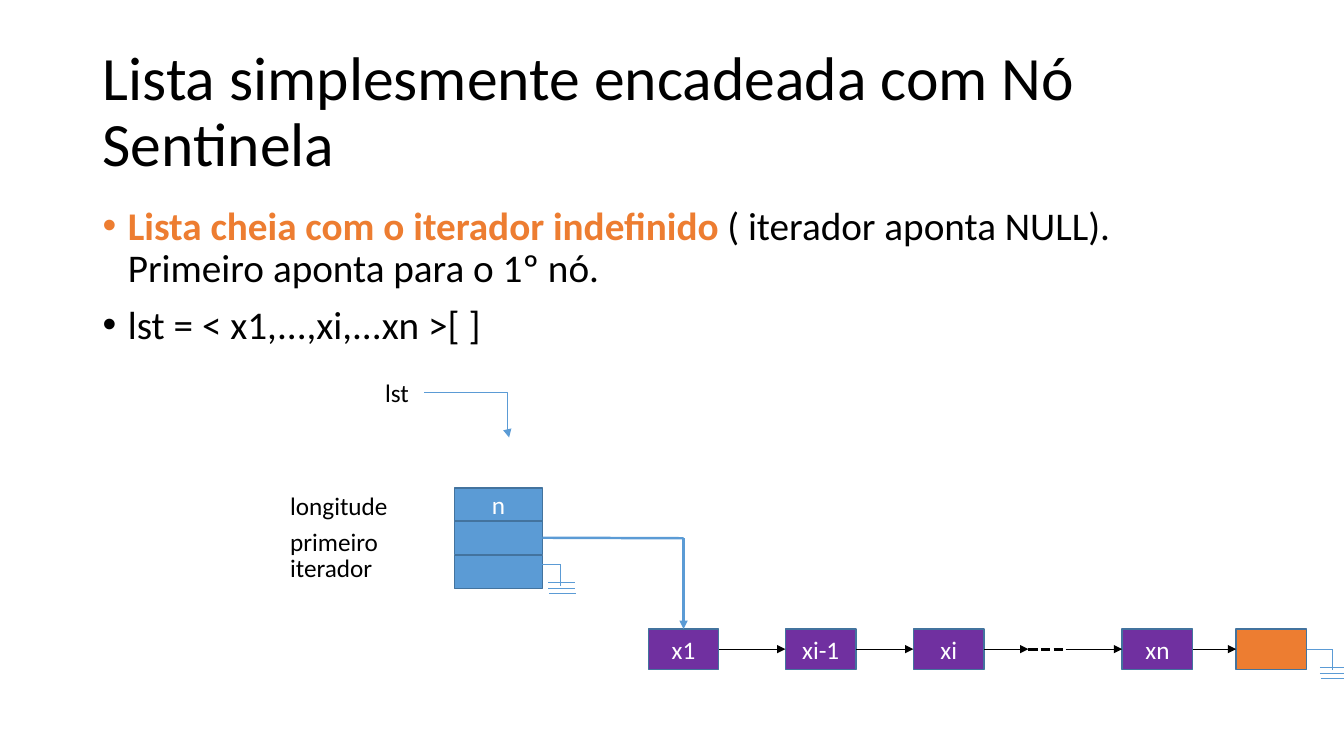
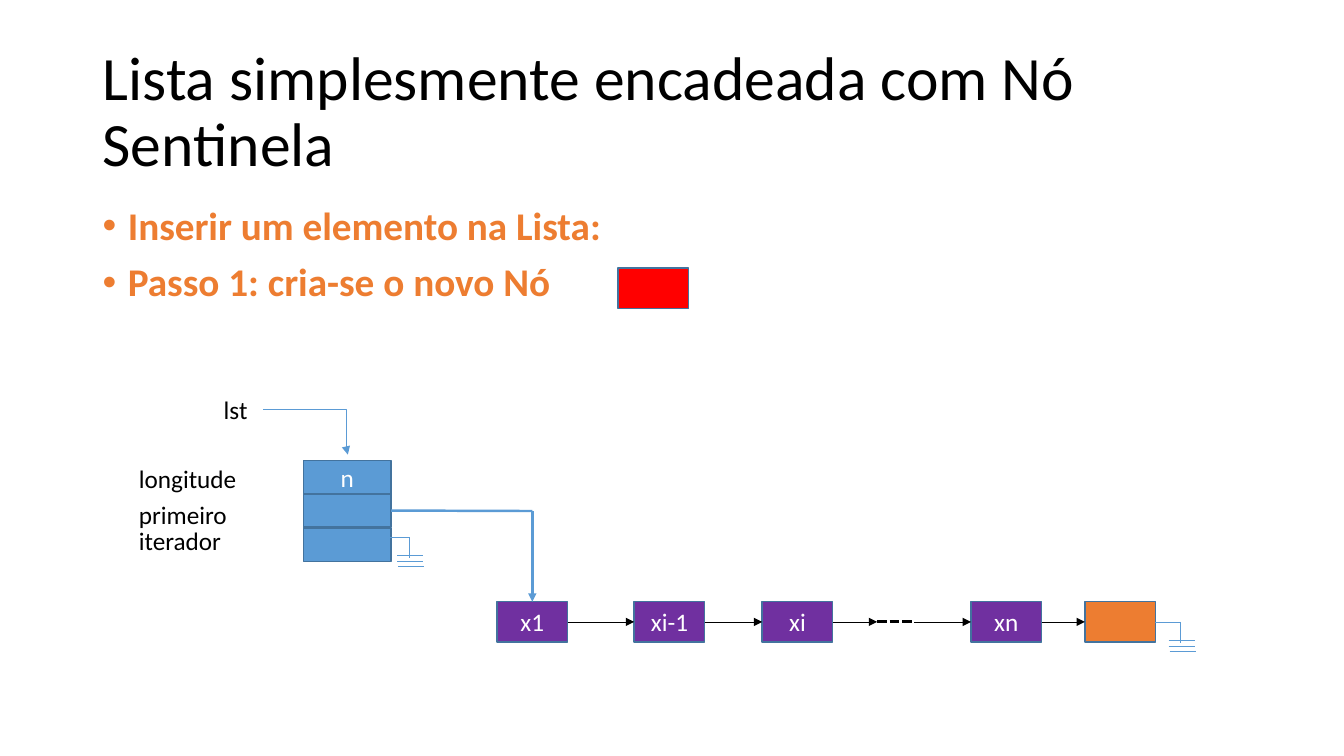
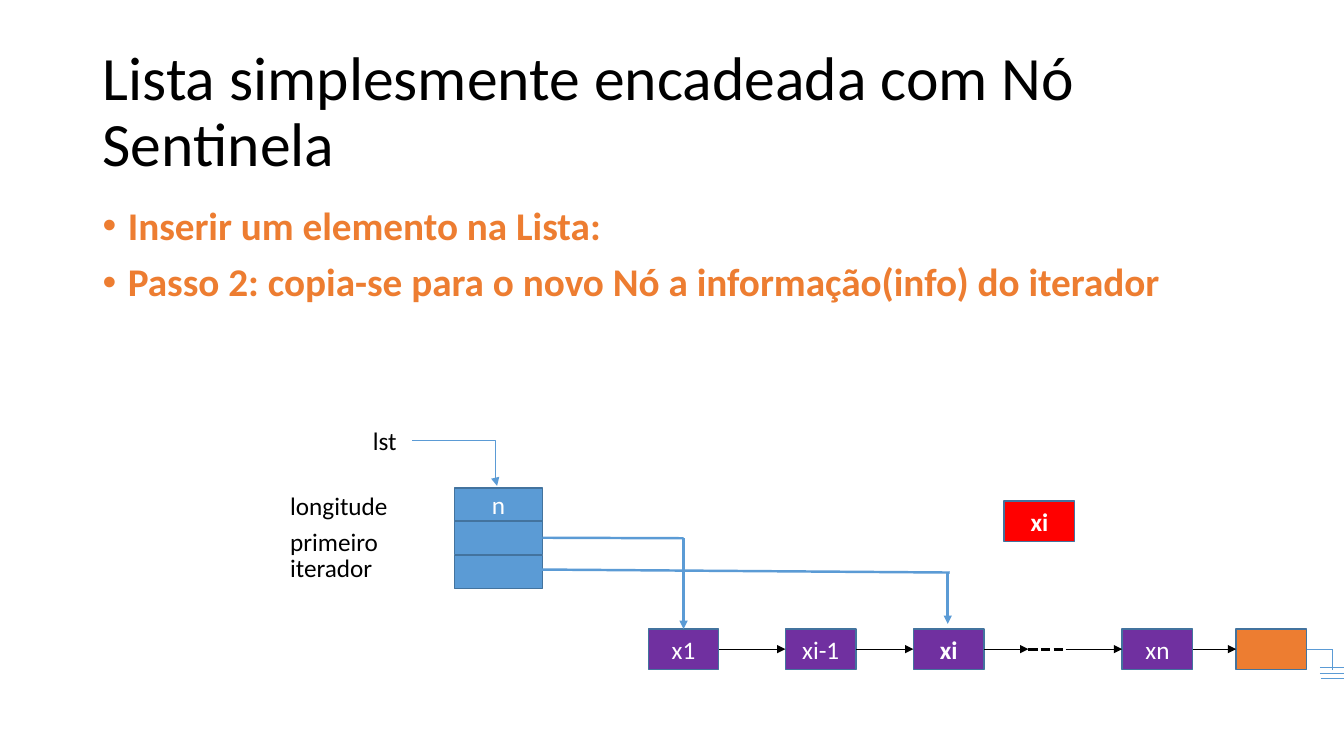
"""Build three slides about inserting into a linked list with a sentinel node."""
from lxml import etree
from pptx import Presentation, util as u
from pptx.dml.color import RGBColor
from pptx.enum import dml, shapes, text
from pptx.oxml.ns import qn

BLACK, WHITE = "000000", "FFFFFF"
BLUE, EDGE, PURPLE, ORANGE, RED = "5B9BD5", "43739E", "7030A0", "ED7D31", "FF0000"
TOP, LEFT, BOTTOM, RIGHT = range(4)
TITLE = "Lista simplesmente encadeada com Nó Sentinela"
INSERT = [("Inserir um elemento na Lista:", ORANGE, True)]

CELL_WIDTH, CELL_HEIGHT = 0.87, 0.33
NODE_WIDTH, NODE_HEIGHT = 0.7, 0.4
NODE_TOP = 1.4
CHAIN_Y = NODE_TOP + NODE_HEIGHT / 2
NODES = {"x1": 1.92, "xi-1": 3.28, "xi": 4.55, "xn": 6.62}
SENTINEL_X = 7.75
FIELDS = {"longitude": -0.02, "primeiro": 0.33, "iterador": 0.59}


def color(value):
    return RGBColor.from_string(value)


def set_all(target, values):
    for name, value in values.items():
        setattr(target, name, value)


class Deck:
    def __init__(self):
        self.presentation = Presentation()
        set_all(self.presentation, {"slide_width": u.Inches(13.33), "slide_height": u.Inches(7.5)})
        self.slide = None

    def run(self, paragraph, words, size, tint, bold=False):
        run = paragraph.add_run()
        run.text = words
        set_all(run.font, {"name": "Calibri", "size": u.Pt(size), "bold": bold})
        run.font.color.rgb = color(tint)

    def text_box(self, left, top, width, height, **frame_format):
        box = self.slide.shapes.add_textbox(*map(u.Inches, (left, top, width, height)))
        set_all(box.text_frame, {"word_wrap": True, **frame_format})
        return box.text_frame

    def label(self, words, left, top, width):
        frame = self.text_box(left, top, width, 0.4, auto_size=text.MSO_AUTO_SIZE.SHAPE_TO_FIT_TEXT)
        self.run(frame.paragraphs[0], words, 18, BLACK)

    def new_slide(self, bullets):
        self.slide = self.presentation.slides.add_slide(self.presentation.slide_layouts[6])
        title = self.text_box(0.92, 0.4, 11.5, 1.45, vertical_anchor=text.MSO_ANCHOR.MIDDLE)
        title.paragraphs[0].line_spacing = 0.9
        self.run(title.paragraphs[0], TITLE, 44, BLACK)
        body = self.text_box(0.92, 2, 11.5, 5.24)
        for index, runs in enumerate(bullets):
            self.bullet(body.add_paragraph() if index else body.paragraphs[0], runs)

    def bullet(self, paragraph, runs):
        set_all(paragraph, {"line_spacing": 0.9, "space_before": u.Pt(10)})
        properties = paragraph._p.get_or_add_pPr()
        properties.set("marL", str(u.Inches(0.25)))
        properties.set("indent", str(-u.Inches(0.25)))
        etree.SubElement(properties, qn("a:buFont")).set("typeface", "Arial")
        etree.SubElement(properties, qn("a:buChar")).set("char", "•")
        for words, tint, bold in runs:
            self.run(paragraph, words, 28, tint, bold)

    def box(self, left, top, width, height, fill, words="", bold=False):
        shape = self.slide.shapes.add_shape(
            shapes.MSO_SHAPE.RECTANGLE, *map(u.Inches, (left, top, width, height)))
        shape.shadow.inherit = False
        shape.fill.solid()
        shape.fill.fore_color.rgb = color(fill)
        shape.line.color.rgb = color(EDGE)
        shape.line.width = u.Pt(1)
        if words:
            shape.text_frame.vertical_anchor = text.MSO_ANCHOR.MIDDLE
            paragraph = shape.text_frame.paragraphs[0]
            paragraph.alignment = text.PP_ALIGN.CENTER
            self.run(paragraph, words, 18, WHITE, bold)
        return shape

    def node(self, left, top, fill, words="", bold=False):
        return self.box(left, top, NODE_WIDTH, NODE_HEIGHT, fill, words, bold)

    def line(self, start, end, tint=BLUE, width=0.5, arrow=False, dash=None,
             begin=None, finish=None, kind=shapes.MSO_CONNECTOR.STRAIGHT):
        connector = self.slide.shapes.add_connector(kind, *map(u.Inches, (*start, *end)))
        if begin:
            connector.begin_connect(*begin)
        if finish:
            connector.end_connect(*finish)
        connector.line.color.rgb = color(tint)
        set_all(connector.line, {"width": u.Pt(width), "dash_style": dash})
        properties = connector._element.spPr
        if arrow:
            etree.SubElement(properties.find(qn("a:ln")), qn("a:tailEnd")).set("type", "triangle")
        etree.SubElement(properties, qn("a:effectLst"))
        return connector

    def list_pointer(self, left, top):
        self.label("lst", left, top, 0.49)
        start_x, start_y = left + 0.49, top + 0.2
        connector = self.line((start_x, start_y), (start_x + 0.84, start_y + 0.45),
                              arrow=True, kind=shapes.MSO_CONNECTOR.ELBOW)
        geometry = connector._element.spPr.find(qn("a:prstGeom"))
        adjustments = geometry.find(qn("a:avLst"))
        if adjustments is None:
            adjustments = etree.SubElement(geometry, qn("a:avLst"))
        guide = etree.SubElement(adjustments, qn("a:gd"))
        guide.set("name", "adj1")
        guide.set("fmla", "val 98200")

    def ground(self, x, y, begin=None):
        self.line((x, y), (x + 0.25, y), begin=begin)
        self.line((x + 0.25, y), (x + 0.25, y + 0.21))
        for shift, drop in ((0.13, 0.18), (0.13, 0.24), (0.14, 0.29)):
            self.line((x + shift, y + drop), (x + shift + 0.26, y + drop))

    def record(self, x, y):
        cells = [self.box(x, y + drop, CELL_WIDTH, CELL_HEIGHT, BLUE, words)
                 for drop, words in ((0, "n"), (0.33, ""), (0.67, ""))]
        for words, drop in FIELDS.items():
            self.label(words, x - 1.73, y + drop, 1.33)
        return cells

    def chain(self, x, y, bold_node):
        nodes = {name: self.node(x + shift, y + NODE_TOP, PURPLE, name, name == bold_node)
                 for name, shift in NODES.items()}
        sentinel = self.node(x + SENTINEL_X, y + NODE_TOP, ORANGE)
        first, previous, current, last = nodes.values()
        middle = y + CHAIN_Y
        origin, dots_start, dots_end = (x, middle), (x + 5.69, middle), (x + 6.06, middle)
        for source, target in ((first, previous), (previous, current), (last, sentinel)):
            self.line(origin, origin, BLACK, arrow=True, begin=(source, RIGHT), finish=(target, LEFT))
        self.line(origin, dots_start, BLACK, arrow=True, begin=(current, RIGHT))
        self.line(dots_start, dots_end, BLACK, 2.25, dash=dml.MSO_LINE.SQUARE_DOT)
        self.line(dots_end, origin, BLACK, arrow=True, finish=(last, LEFT))
        self.ground(x + SENTINEL_X + NODE_WIDTH, middle, begin=(sentinel, RIGHT))
        return first

    def linked_list(self, x, y, iterator_set=False):
        cells = self.record(x, y)
        first = self.chain(x, y, "xi" if iterator_set else None)
        corner = (x + 2.27, y + 0.5)
        self.line(corner, corner, width=1.75, begin=(cells[1], RIGHT))
        cells_line_end = (x + 2.27, y + NODE_TOP)
        self.line(corner, cells_line_end, width=1.75, arrow=True, finish=(first, TOP))
        if iterator_set:
            self.line((x + 0.83, y + 0.81), (x + 4.91, y + 0.84), width=1.75)
            self.line((x + 4.89, y + 0.83), (x + 4.89, y + 1.35), width=1.75, arrow=True)
        else:
            self.ground(x + 0.8, y + 0.76)


def main():
    deck = Deck()

    deck.new_slide([
        [("Lista cheia com o iterador indefinido ", ORANGE, True),
         ("( iterador aponta NULL). Primeiro aponta para o 1º nó.", BLACK, False)],
        [("lst = < x1,...,xi,...xn >[ ]", BLACK, False)],
    ])
    deck.list_pointer(3.72, 3.69)
    deck.linked_list(4.51, 4.84)

    deck.new_slide([INSERT, [("Passo 1: cria-se o novo Nó", ORANGE, True)]])
    deck.list_pointer(2.12, 3.86)
    deck.linked_list(3.01, 4.57)
    deck.node(6.13, 2.66, RED)

    deck.new_slide([INSERT, [("Passo 2: copia-se para o novo Nó a informação(info) do iterador", ORANGE, True)]])
    deck.list_pointer(3.6, 4.17)
    deck.node(9.96, 4.97, RED, "xi", True)
    deck.linked_list(4.51, 4.84, iterator_set=True)

    deck.presentation.save("out.pptx")


if __name__ == "__main__":
    main()
